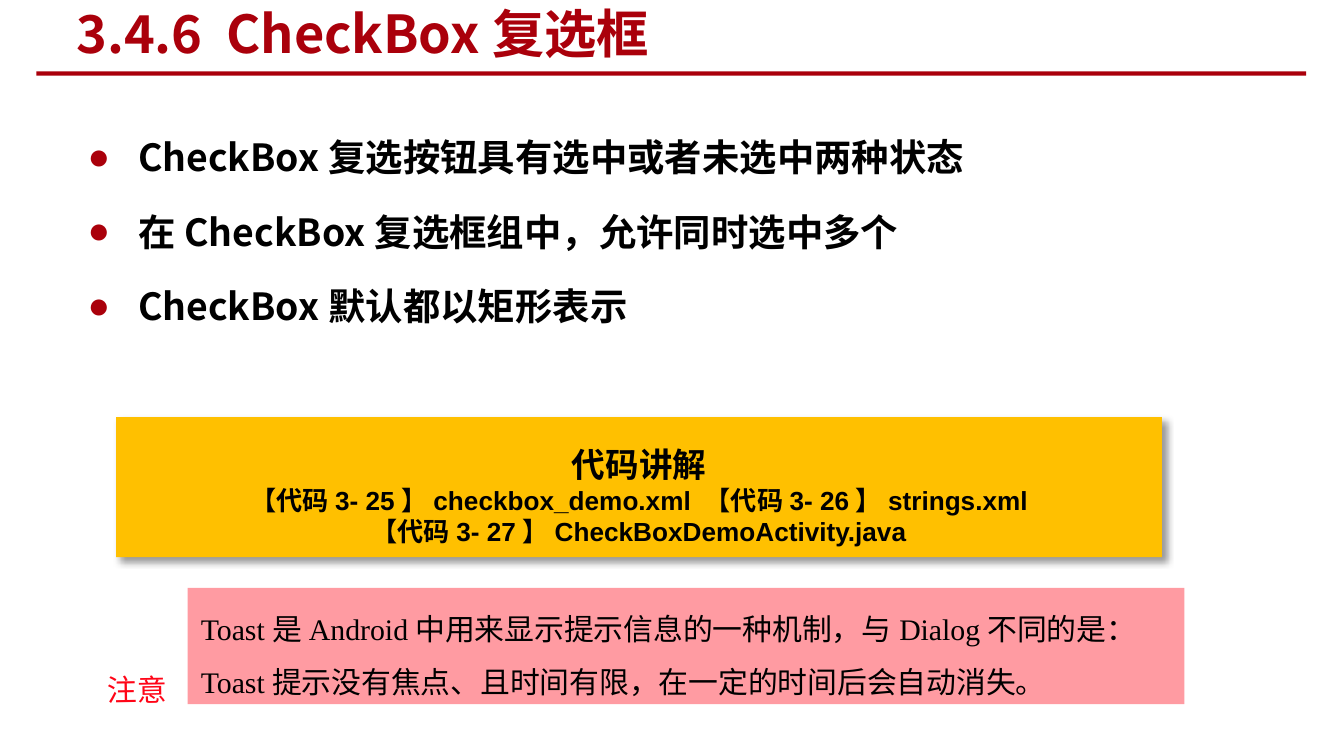
"""Build the slide on the CheckBox control."""
from pptx import Presentation
from pptx.dml.color import RGBColor
from pptx.enum.shapes import MSO_SHAPE
from pptx.enum.text import MSO_ANCHOR, MSO_AUTO_SIZE, PP_ALIGN
from pptx.oxml import parse_xml
from pptx.oxml.ns import nsdecls
from pptx.util import Pt

PX = 9525
RED = RGBColor(0xAA, 0x00, 0x0B)
BLACK = RGBColor(0, 0, 0)
GOLD = RGBColor(0xFF, 0xC0, 0x00)
PINK = RGBColor(0xFF, 0x9B, 0xA2)
ALERT = RGBColor(0xFF, 0x05, 0x17)
NOTO = "Noto Sans CJK SC"


def place(shape, box, fill=None):
    for name, value in zip(("left", "top", "width", "height"), box):
        setattr(shape, name, value * PX)
    if fill is not None:
        shape.shadow.inherit = False
        shape.fill.solid()
        shape.fill.fore_color.rgb = fill
        shape.line.fill.background()
    return shape


def write(para, text, size, color, font=NOTO, bold=False, **form):
    for name, value in form.items():
        setattr(para, name, value)
    run = para.add_run()
    run.text = text
    for name, value in {"size": Pt(size), "bold": bold, "name": font}.items():
        setattr(run.font, name, value)
    run.font.color.rgb = color
    latin = run.font._element.find("{*}latin")
    latin.addnext(parse_xml(f'<a:ea {nsdecls("a")} typeface="{NOTO}"/>'))


deck = Presentation()
deck.slide_width, deck.slide_height = 960 * PX, 540 * PX
slide = deck.slides.add_slide(deck.slide_layouts[1])
shapes = slide.shapes
rect = MSO_SHAPE.RECTANGLE

place(shapes.add_shape(rect, 0, 0, 0, 0), (26, 51, 907, 3), RED)

title = place(shapes.title, (45, 2, 671, 43))
title.text_frame.auto_size = MSO_AUTO_SIZE.NONE
title.text_frame.vertical_anchor = MSO_ANCHOR.MIDDLE
write(title.text_frame.paragraphs[0], "3.4.6  CheckBox复选框", 28, RED,
      bold=True, alignment=PP_ALIGN.LEFT)

body = place(slide.placeholders[1], (53, 75, 862, 360)).text_frame
body.auto_size = MSO_AUTO_SIZE.NONE
points = ("CheckBox复选按钮具有选中或者未选中两种状态",
          "在CheckBox复选框组中，允许同时选中多个",
          "CheckBox默认都以矩形表示")
for rank, text in enumerate(points):
    para = body.paragraphs[0] if rank == 0 else body.add_paragraph()
    props = para._p.get_or_add_pPr()
    props.set("marL", str(36 * PX))
    props.set("indent", str(-36 * PX))
    for tag in (f'<a:buClr {nsdecls("a")}><a:srgbClr val="{RED}"/></a:buClr>',
                f'<a:buFont {nsdecls("a")} typeface="Arial"/>',
                f'<a:buChar {nsdecls("a")} char="●"/>'):
        props.append(parse_xml(tag))
    write(para, text, 20, BLACK, bold=True, line_spacing=1.5,
          space_before=Pt(4 if rank else 0))

code = place(shapes.add_shape(rect, 0, 0, 0, 0), (83, 298, 747, 100), GOLD)
code._element.spPr.find("{*}effectLst").append(parse_xml(
    f'<a:outerShdw {nsdecls("a")} blurRad="{Pt(4)}" dist="{Pt(3)}" '
    'dir="2700000" algn="tl" rotWithShape="0"><a:srgbClr val="000000">'
    '<a:alpha val="40000"/></a:srgbClr></a:outerShdw>'))
frame = code.text_frame
frame.vertical_anchor = MSO_ANCHOR.TOP
lines = (("代码讲解", 18, NOTO, 1.5),
         ("【代码3- 25】checkbox_demo.xml 【代码3- 26】strings.xml", 14, "Arial", 1.0),
         ("【代码3- 27】CheckBoxDemoActivity.java", 14, "Arial", 1.0))
for rank, (text, size, font, space) in enumerate(lines):
    para = frame.paragraphs[0] if rank == 0 else frame.add_paragraph()
    write(para, text, size, BLACK, font, True,
          alignment=PP_ALIGN.CENTER, line_spacing=space)

label = place(shapes.add_textbox(0, 0, 0, 0), (67, 475, 67, 36))
label.rotation = 359
label.text_frame.word_wrap = True
write(label.text_frame.paragraphs[0], "注意", 16, ALERT)

note = place(shapes.add_shape(rect, 0, 0, 0, 0), (134, 420, 712, 83), PINK)
note.text_frame.vertical_anchor = MSO_ANCHOR.MIDDLE
write(note.text_frame.paragraphs[0],
      "Toast是Android中用来显示提示信息的一种机制，与Dialog不同的是："
      "Toast提示没有焦点、且时间有限，在一定的时间后会自动消失。",
      16, BLACK, "Times New Roman", alignment=PP_ALIGN.LEFT, line_spacing=1.5)

deck.save("out.pptx")
